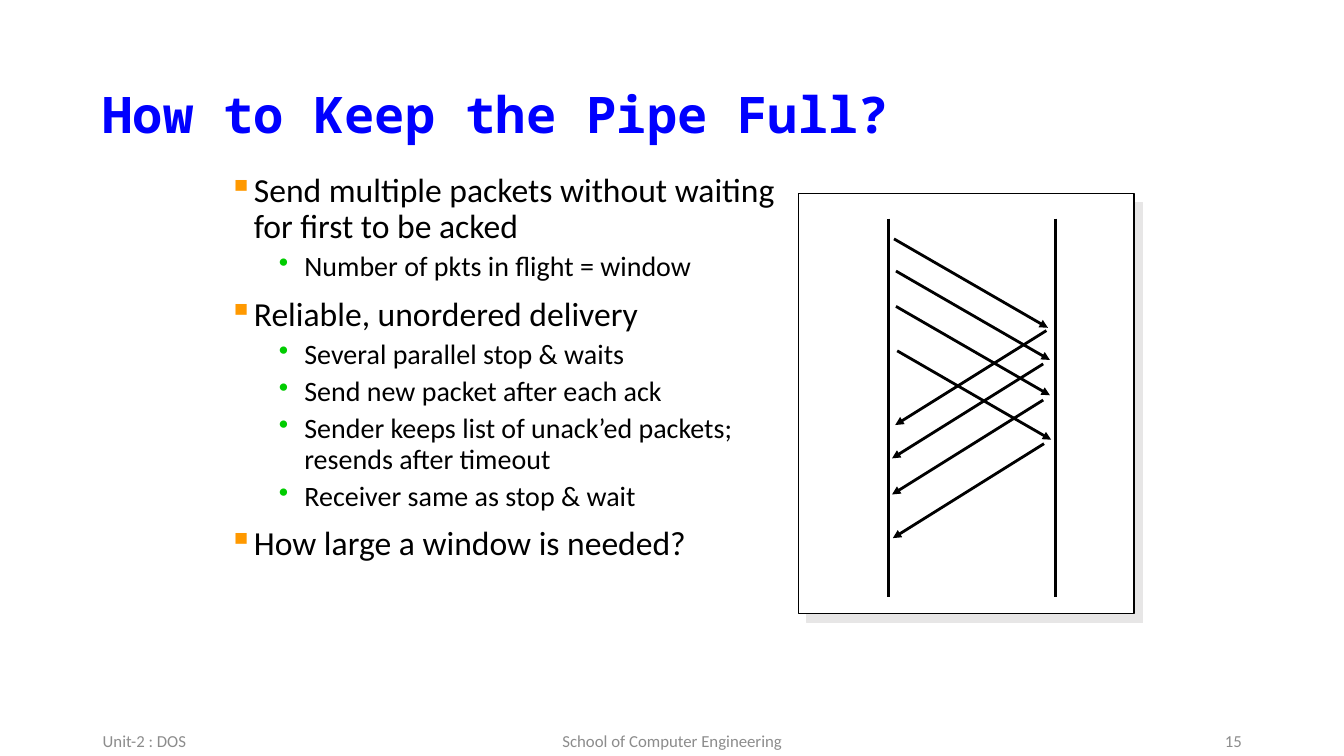
from typing import NamedTuple

from lxml.etree import SubElement as Sub
from pptx import Presentation
from pptx.dml.color import RGBColor
from pptx.enum.shapes import MSO_CONNECTOR as Link, MSO_SHAPE as Form
from pptx.enum.text import MSO_ANCHOR as Anchor, PP_ALIGN as Align
from pptx.oxml.ns import qn
from pptx.util import Cm, Pt


class Style(NamedTuple):
    size: int
    color: str
    face: str = "Calibri"
    bold: bool = False


class Label(NamedTuple):
    text: str
    left: float
    top: float
    width: float
    height: float
    style: Style
    align: Align = Align.LEFT
    fill: str = ""


class Level(NamedTuple):
    mark: str
    color: str
    size: int
    before: int
    margin: float


class Item(NamedTuple):
    level: int
    text: str


class Point(NamedTuple):
    x: float
    y: float


GRAY = Style(12, "8C8C8C")
TITLE = Style(36, "0000FF", "Noto Sans Mono", True)
LABELS = [
    Label("Unit-2 : DOS", 2.34, 18.29, 7.62, 0.76, GRAY),
    Label("School of Computer Engineering", 11.23, 18.29, 11.43, 0.76, GRAY, Align.CENTER),
    Label("15", 23.93, 18.29, 7.62, 0.76, GRAY, Align.RIGHT),
    Label("How to Keep the Pipe Full?", 2.34, 1.02, 29.21, 3.68, TITLE, fill="FFFFFF"),
]
LEVELS = [Level("▪", "FF9900", 24, 10, 0.64), Level("•", "00CC00", 20, 5, 1.91)]
HANG = 0.64
ITEMS = [
    Item(0, "Send multiple packets without waiting for first to be acked"),
    Item(1, "Number of pkts in flight = window"),
    Item(0, "Reliable, unordered delivery"),
    Item(1, "Several parallel stop & waits"),
    Item(1, "Send new packet after each ack"),
    Item(1, "Sender keeps list of unack’ed packets; resends after timeout"),
    Item(1, "Receiver same as stop & wait"),
    Item(0, "How large a window is needed?"),
]
HOSTS = [22.4, 26.59]
TOP, BASE = 5.51, 15.04
SENDS = [Point(22.53, 6.02), Point(22.58, 6.83), Point(22.58, 7.72), Point(22.61, 8.84)]
ACKS = [Point(26.37, 8.33), Point(26.29, 9.17), Point(26.29, 10.08), Point(26.31, 11.18)]
SEND_STEP = Point(3.88, 2.24)
ACK_STEP = Point(-3.81, 2.38)


def rgb(code: str) -> RGBColor:
    return RGBColor.from_string(code)


def set_font(para, style: Style) -> None:
    font = para.font
    font.size = Pt(style.size)
    font.name = style.face
    font.bold = style.bold
    font.color.rgb = rgb(style.color)


def add_box(slide, left: float, top: float, width: float, height: float):
    box = slide.shapes.add_textbox(Cm(left), Cm(top), Cm(width), Cm(height))
    box.text_frame.word_wrap = True
    return box


def add_label(slide, label: Label) -> None:
    box = add_box(slide, label.left, label.top, label.width, label.height)
    if label.fill:
        box.fill.solid()
        box.fill.fore_color.rgb = rgb(label.fill)
    frame = box.text_frame
    frame.vertical_anchor = Anchor.MIDDLE
    para = frame.paragraphs[0]
    para.text = label.text
    para.alignment = label.align
    set_font(para, label.style)


def add_item(para, item: Item) -> None:
    level = LEVELS[item.level]
    para.text = item.text
    para.level = item.level
    para.line_spacing = 0.9
    para.space_before = Pt(level.before)
    props = para._p.get_or_add_pPr()
    props.set("marL", str(Cm(level.margin)))
    props.set("indent", str(-Cm(HANG)))
    Sub(Sub(props, qn("a:buClr")), qn("a:srgbClr"), val=level.color)
    Sub(props, qn("a:buChar"), char=level.mark)
    set_font(para, Style(level.size, "000000"))


def add_list(slide) -> None:
    frame = add_box(slide, 5.51, 4.24, 14.6, 13.13).text_frame
    for index, item in enumerate(ITEMS):
        add_item(frame.add_paragraph() if index else frame.paragraphs[0], item)


def add_panel(slide) -> None:
    panel = slide.shapes.add_shape(Form.RECTANGLE, Cm(20.12), Cm(4.88), Cm(8.46), Cm(10.59))
    panel.fill.solid()
    panel.fill.fore_color.rgb = rgb("FFFFFF")
    panel.line.color.rgb = rgb("000000")
    panel.line.width = Pt(0.75)
    panel.shadow.inherit = False
    effects = panel._element.spPr.find(qn("a:effectLst"))
    shade = Sub(effects, qn("a:outerShdw"), dist=str(Pt(8.5)), dir="2700000",
                algn="ctr", rotWithShape="0")
    Sub(shade, qn("a:srgbClr"), val="E7E6E6")


def add_line(slide, start: Point, end: Point, arrow: bool = False) -> None:
    line = slide.shapes.add_connector(
        Link.STRAIGHT, Cm(start.x), Cm(start.y), Cm(end.x), Cm(end.y))
    line.line.color.rgb = rgb("000000")
    line.line.width = Pt(2)
    if arrow:
        Sub(line.line._get_or_add_ln(), qn("a:tailEnd"), type="triangle")
    Sub(line._element.spPr, qn("a:effectLst"))


def main() -> None:
    deck = Presentation()
    deck.slide_width, deck.slide_height = Cm(33.87), Cm(19.05)
    slide = deck.slides.add_slide(deck.slide_layouts[6])
    add_panel(slide)
    for label in LABELS:
        add_label(slide, label)
    add_list(slide)
    for x in HOSTS:
        add_line(slide, Point(x, TOP), Point(x, BASE))
    for starts, step in ((SENDS, SEND_STEP), (ACKS, ACK_STEP)):
        for start in starts:
            end = Point(start.x + step.x, start.y + step.y)
            add_line(slide, start, end, arrow=True)
    deck.save("out.pptx")


if __name__ == "__main__":
    main()
